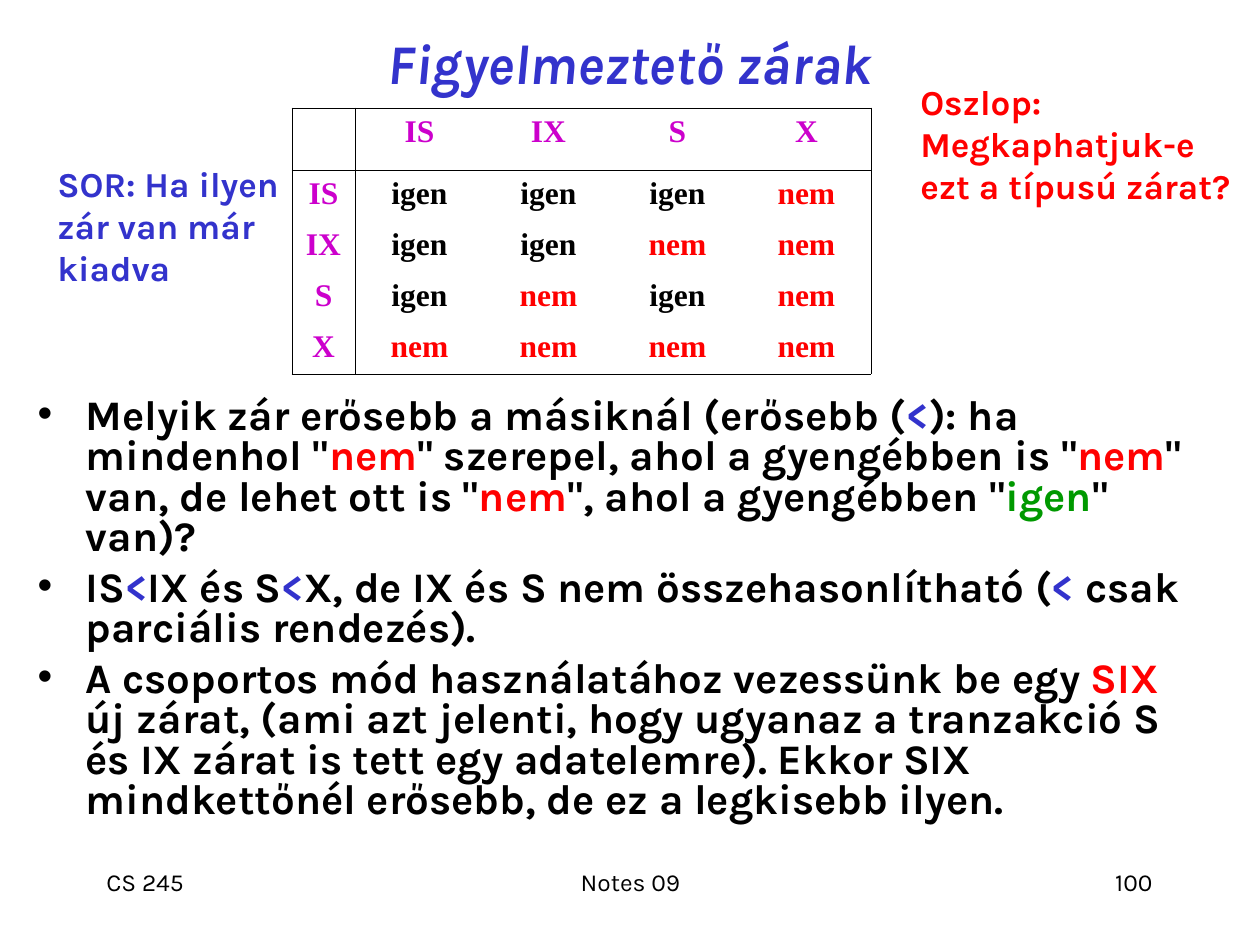
"""Build the slide on warning locks with their compatibility table."""
import dataclasses

import lxml.etree
import pptx
import pptx.dml.color
import pptx.enum.text
import pptx.oxml.ns
import pptx.util

ALIGN = pptx.enum.text.PP_ALIGN
ANCHOR = pptx.enum.text.MSO_ANCHOR
FIT = pptx.enum.text.MSO_AUTO_SIZE


@dataclasses.dataclass(frozen=True)
class Theme:
    sans: str = "Karla"
    serif: str = "Times New Roman"
    black: str = "000000"
    blue: str = "3333CC"
    red: str = "FF0000"
    green: str = "009900"
    purple: str = "CC00CC"
    title: int = 32
    body: int = 24
    label: int = 20
    cell: int = 18
    footer: int = 14
    border: float = 0.45


def px(count):
    return pptx.util.Emu(round(count * 914400 / 126))


def add_element(parent, tag, **attributes):
    name = pptx.oxml.ns.qn(f"a:{tag}")
    return lxml.etree.SubElement(parent, name, attributes)


class Composer:
    def __init__(self, page, theme):
        self.page = page
        self.theme = theme

    def style(self, paragraph, size, color, align=ALIGN.LEFT, face=None, bold=True, italic=False):
        paragraph.alignment = align
        font = paragraph.font
        font.name = face or self.theme.sans
        font.size = pptx.util.Pt(size)
        font.bold = bold
        font.italic = italic
        font.color.rgb = pptx.dml.color.RGBColor.from_string(color)

    def place(self, shape, left, top, width, height):
        shape.left, shape.top = px(left), px(top)
        shape.width, shape.height = px(width), px(height)

    def title(self, text, *area):
        box = self.page.shapes.title
        self.place(box, *area)
        frame = box.text_frame
        frame.text = text
        frame.auto_size = FIT.NONE
        frame.vertical_anchor = ANCHOR.BOTTOM
        frame.margin_bottom = px(11)
        self.style(frame.paragraphs[0], self.theme.title, self.theme.blue, ALIGN.CENTER, italic=True)

    def bullets(self, items, *area):
        box = self.page.placeholders[1]
        self.place(box, *area)
        frame = box.text_frame
        frame.auto_size = FIT.NONE
        for index, spans in enumerate(items):
            paragraph = frame.add_paragraph() if index else frame.paragraphs[0]
            paragraph.line_spacing = 0.8
            paragraph.space_before = pptx.util.Pt(6 if index else 0)
            properties = paragraph._p.get_or_add_pPr()
            properties.set("marL", str(px(48)))
            properties.set("indent", str(-px(48)))
            add_element(add_element(properties, "buClr"), "srgbClr", val=self.theme.black)
            add_element(properties, "buChar", char="•")
            self.style(paragraph, self.theme.body, self.theme.black)
            for text, color in spans:
                span = paragraph.add_run()
                span.text = text
                if color != self.theme.black:
                    span.font.color.rgb = pptx.dml.color.RGBColor.from_string(color)

    def text(self, text, area, size, color, align=ALIGN.LEFT, bold=True, fit=FIT.NONE):
        box = self.page.shapes.add_textbox(*map(px, area))
        frame = box.text_frame
        frame.word_wrap = True
        frame.auto_size = fit
        frame.text = text
        self.style(frame.paragraphs[0], size, color, align, bold=bold)

    def borders(self, cell, sides):
        properties = cell._tc.get_or_add_tcPr()
        width = str(pptx.util.Pt(self.theme.border))
        for side, visible in sides.items():
            line = add_element(properties, f"ln{side}", w=width)
            if visible:
                add_element(add_element(line, "solidFill"), "srgbClr", val=self.theme.black)
            else:
                add_element(line, "noFill")

    def table(self, rows, left, top, widths, heights):
        frame = self.page.shapes.add_table(
            len(rows), len(widths), px(left), px(top), px(sum(widths)), px(sum(heights)))
        grid = frame.table
        grid.first_row = grid.horz_banding = False
        for column, width in zip(grid.columns, widths):
            column.width = px(width)
        for line, height in zip(grid.rows, heights):
            line.height = px(height)
        last_row, last_column = len(rows) - 1, len(widths) - 1
        answers = {"igen": self.theme.black, "nem": self.theme.red}
        for r, words in enumerate(rows):
            for c, word in enumerate(words):
                cell = grid.cell(r, c)
                cell.text = word
                color = answers.get(word, self.theme.purple)
                self.style(cell.text_frame.paragraphs[0], self.theme.cell, color,
                           ALIGN.CENTER, self.theme.serif)
                self.borders(cell, {"L": c < 2, "R": c in (0, last_column),
                                    "T": r < 2, "B": r in (0, last_row)})
                cell.fill.background()


def main():
    deck = pptx.Presentation()
    deck.slide_width, deck.slide_height = px(1260), px(945)
    page = deck.slides.add_slide(deck.slide_layouts[1])
    theme = Theme()
    composer = Composer(page, theme)

    composer.title("Figyelmeztető zárak", 94, 84, 1071, 23)
    less = ("<", theme.blue)
    no = ("nem", theme.red)
    composer.bullets([
        [("Melyik zár erősebb a másiknál (erősebb (", theme.black), less,
         ("): ha mindenhol \"", theme.black), no,
         ("\" szerepel, ahol a gyengébben is \"", theme.black), no,
         ("\" van, de lehet ott is \"", theme.black), no,
         ("\", ahol a gyengébben \"", theme.black), ("igen", theme.green),
         ("\" van)?", theme.black)],
        [("IS", theme.black), less, ("IX és S", theme.black), less,
         ("X, de IX és S nem összehasonlítható (", theme.black), less,
         (" csak parciális rendezés).", theme.black)],
        [("A csoportos mód használatához vezessünk be egy ", theme.black), ("SIX", theme.red),
         (" új zárat, (ami azt jelenti, hogy ugyanaz a tranzakció S és IX zárat is tett "
          "egy adatelemre). Ekkor SIX mindkettőnél erősebb, de ez a legkisebb ilyen.",
          theme.black)],
    ], 25, 392, 1191, 523)

    composer.table([
        ["", "IS", "IX", "S", "X"],
        ["IS", "igen", "igen", "igen", "nem"],
        ["IX", "igen", "igen", "nem", "nem"],
        ["S", "igen", "nem", "igen", "nem"],
        ["X", "nem", "nem", "nem", "nem"],
    ], 292, 108, [63] + [129] * 4, [62] + [51] * 4)

    composer.text("SOR: Ha ilyen zár van már kiadva", (45, 156, 258, 139),
                  theme.label, theme.blue, fit=FIT.SHAPE_TO_FIT_TEXT)
    composer.text("Oszlop: Megkaphatjuk-e ezt a típusú zárat?", (908, 74, 352, 139),
                  theme.label, theme.red, fit=FIT.SHAPE_TO_FIT_TEXT)

    for text, left, width, align in (("Notes 09", 431, 399, ALIGN.CENTER),
                                     ("100", 903, 262, ALIGN.RIGHT),
                                     ("CS 245", 94, 262, ALIGN.LEFT)):
        composer.text(text, (left, 861, width, 63), theme.footer, theme.black, align, bold=False)

    deck.save("out.pptx")


if __name__ == "__main__":
    main()
